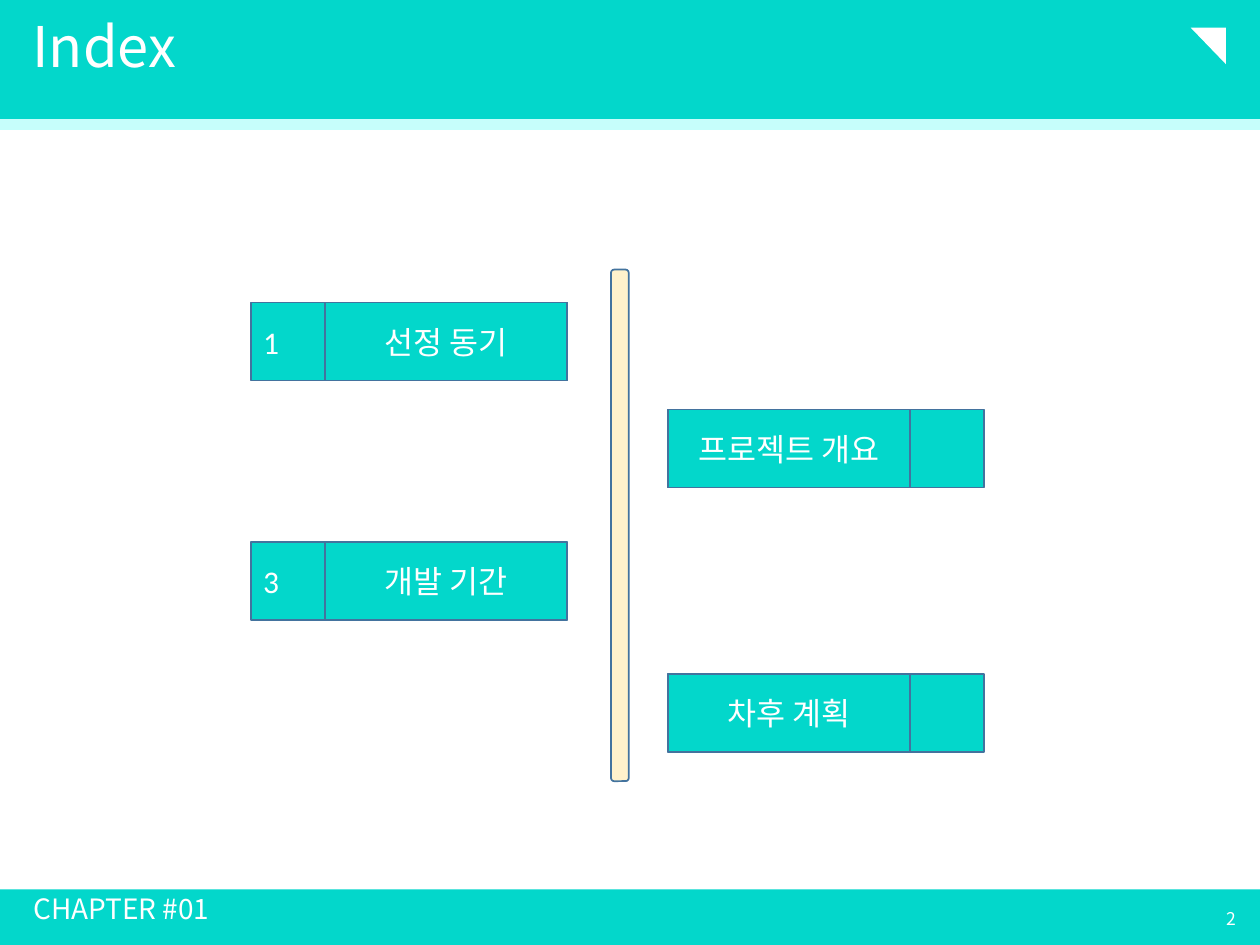
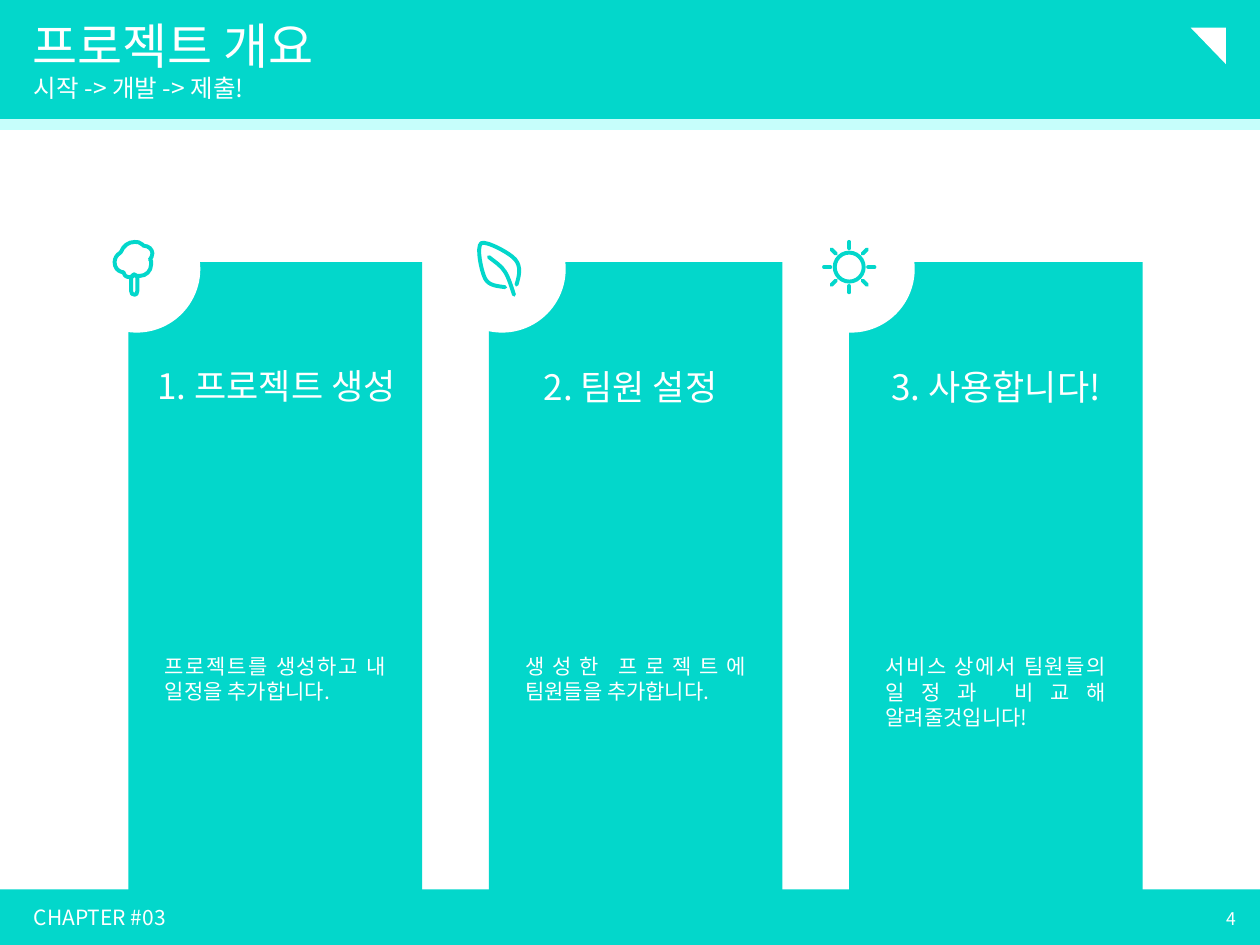
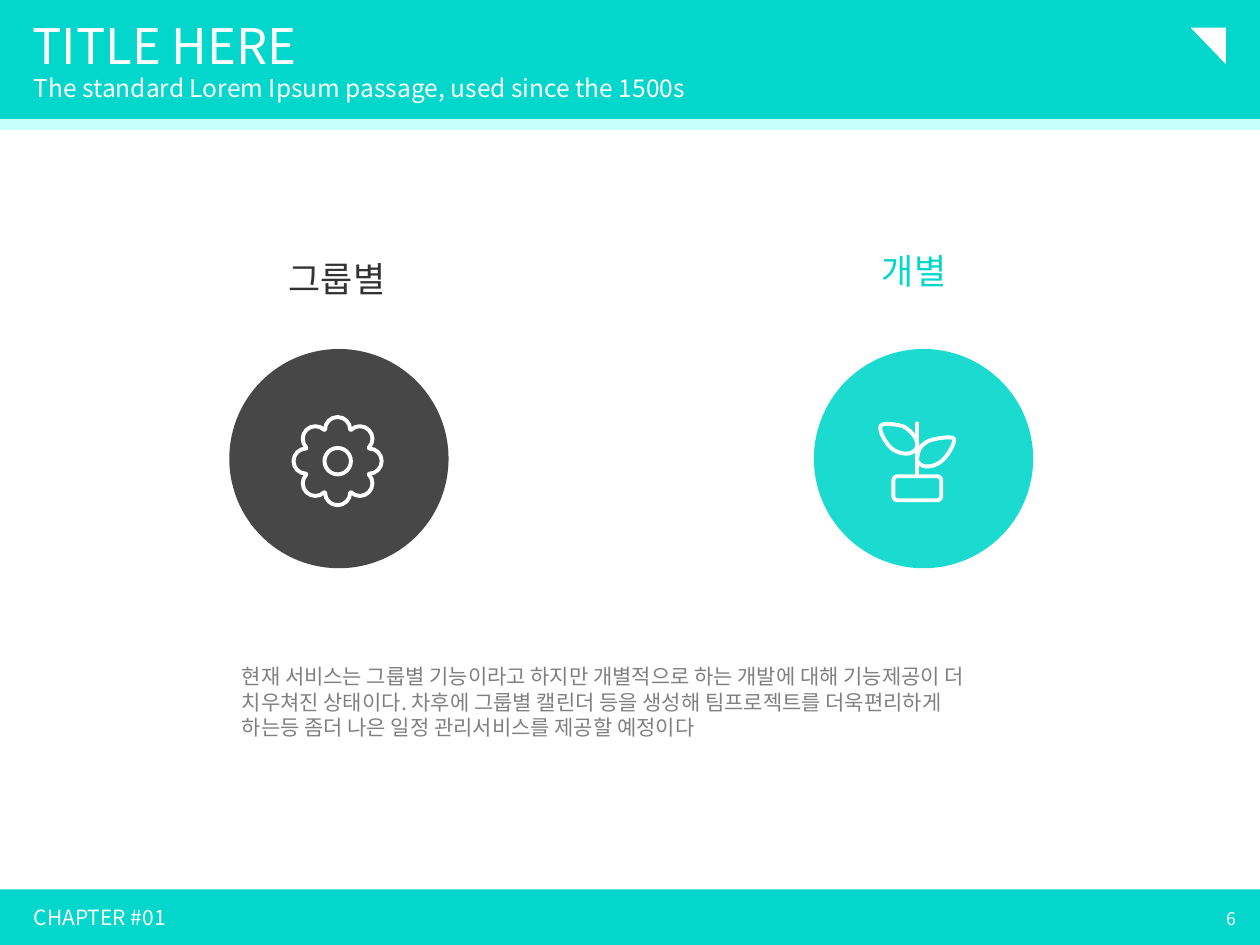
import math

from lxml import etree
from pptx import Presentation
from pptx.dml.color import RGBColor
from pptx.enum.shapes import MSO_CONNECTOR, MSO_SHAPE
from pptx.enum.text import MSO_ANCHOR, MSO_AUTO_SIZE, PP_ALIGN
from pptx.oxml.ns import qn
from pptx.util import Inches, Pt

RECTANGLE = MSO_SHAPE.RECTANGLE
ROUNDED = MSO_SHAPE.ROUNDED_RECTANGLE
OVAL = MSO_SHAPE.OVAL
TRIANGLE = MSO_SHAPE.ISOSCELES_TRIANGLE
STRAIGHT = MSO_CONNECTOR.STRAIGHT
LEFT, CENTER, RIGHT, JUSTIFY = PP_ALIGN.LEFT, PP_ALIGN.CENTER, PP_ALIGN.RIGHT, PP_ALIGN.JUSTIFY
TOP, MIDDLE = MSO_ANCHOR.TOP, MSO_ANCHOR.MIDDLE
GROW, FIXED = MSO_AUTO_SIZE.SHAPE_TO_FIT_TEXT, MSO_AUTO_SIZE.NONE

COLORS = {
    "teal": "03D7CB",
    "pale_teal": "C6FEFB",
    "white": "FFFFFF",
    "outline": "43739E",
    "cream": "FFF2CC",
    "dark": "333333",
    "gray": "808080",
}
KOREAN_FONT = "Noto Sans CJK KR"
LATIN_FONT = "Calibri"
ICON_LINE = 2.25

TREE_TRUNK = """M 1.07 2.18 L 1.08 2.19 L 1.09 2.19 L 1.09 2.31
C 1.09 2.33 1.08 2.34 1.07 2.34 C 1.05 2.34 1.04 2.33 1.04 2.31
L 1.04 2.2 C 1.05 2.2 1.06 2.19 1.06 2.18 Z"""
TREE_CROWN = """M 1.07 1.92 C 1.09 1.92 1.11 1.92 1.13 1.94 L 1.14 1.95
C 1.18 1.95 1.21 1.98 1.21 2.01 C 1.21 2.03 1.2 2.05 1.19 2.06 L 1.2 2.07
C 1.2 2.08 1.2 2.09 1.2 2.1 C 1.2 2.15 1.16 2.19 1.11 2.19
C 1.1 2.19 1.09 2.19 1.08 2.19 L 1.07 2.18 L 1.06 2.18
C 1.05 2.19 1.04 2.2 1.03 2.2 C 1 2.2 0.98 2.18 0.98 2.16 L 0.97 2.16
C 0.93 2.15 0.91 2.12 0.91 2.08 C 0.91 2.05 0.93 2.02 0.95 2.01 L 0.96 2
C 0.98 1.95 1.02 1.92 1.07 1.92 Z"""
LEAF_EDGE = """M 4.01 2.28 C 3.95 2.27 3.88 2.27 3.85 2.21
C 3.82 2.15 3.78 1.96 3.82 1.93 C 3.86 1.91 4.05 2.01 4.09 2.06
C 4.14 2.12 4.12 2.19 4.1 2.26"""
LEAF_VEIN = "M 3.88 2.04 C 3.93 2.08 3.98 2.11 4.01 2.16 C 4.04 2.21 4.06 2.28 4.08 2.34"
LEFT_SPROUT = """M 7.28 3.54 C 7.29 3.49 7.23 3.42 7.18 3.39
C 7.14 3.37 7 3.35 6.99 3.38 C 6.97 3.41 7.03 3.53 7.09 3.57
C 7.16 3.61 7.24 3.62 7.28 3.55"""
RIGHT_SPROUT = """M 7.28 3.64 C 7.28 3.59 7.3 3.54 7.35 3.51
C 7.4 3.48 7.55 3.46 7.57 3.48 C 7.59 3.51 7.51 3.64 7.46 3.67
C 7.42 3.7 7.32 3.73 7.28 3.66"""


def rgb(name):
    return RGBColor.from_string(COLORS[name])


def style_outline(shape, color, width):
    shape.line.color.rgb = rgb(color)
    shape.line.width = Pt(width)


def round_caps(shape):
    shape.element.spPr.find(qn("a:ln")).set("cap", "rnd")


def write_text(shape, text, size, color="white", align=LEFT, anchor=TOP,
               font=KOREAN_FONT, spacing=None):
    frame = shape.text_frame
    frame.word_wrap = True
    frame.vertical_anchor = anchor
    paragraph = frame.paragraphs[0]
    paragraph.text = text
    paragraph.alignment = align
    if spacing:
        paragraph.line_spacing = spacing
    paragraph.font.name = font
    paragraph.font.size = Pt(size)
    paragraph.font.color.rgb = rgb(color)
    for latin in shape.element.iter(qn("a:latin")):
        latin.addnext(etree.Element(qn("a:ea"), typeface=KOREAN_FONT))


def add_text(slide, box, text, size, grow=False, right_inset=0.1, **style):
    shape = slide.shapes.add_textbox(*map(Inches, box))
    write_text(shape, text, size, **style)
    shape.text_frame.margin_right = Inches(right_inset)
    shape.text_frame.auto_size = GROW if grow else FIXED


def add_block(shapes, kind, box, fill=None, outline=None, width=1, opacity=None):
    shape = shapes.add_shape(kind, *map(Inches, box))
    shape.shadow.inherit = False
    if fill:
        shape.fill.solid()
        shape.fill.fore_color.rgb = rgb(fill)
    else:
        shape.fill.background()
    if opacity:
        color = shape.element.spPr.find(qn("a:solidFill"))[0]
        etree.SubElement(color, qn("a:alpha"), val=str(opacity * 1000))
    if outline:
        style_outline(shape, outline, width)
    else:
        shape.line.fill.background()
    return shape


def add_line(shapes, start, end, color, width):
    line = shapes.add_connector(STRAIGHT, *map(Inches, start + end))
    style_outline(line, color, width)
    etree.SubElement(line.element.spPr, qn("a:effectLst"))
    return line


def read_commands(outline):
    tokens = iter(outline.split())
    commands = []
    for letter in tokens:
        count = {"C": 3, "Z": 0}.get(letter, 1)
        points = [(float(next(tokens)), float(next(tokens))) for _ in range(count)]
        commands.append((letter, points))
    return commands


def bend_segments(shape, commands):
    segments = iter(list(shape.element.iter(qn("a:lnTo"))))
    for letter, points in commands:
        if letter == "L":
            next(segments)
        elif letter == "C":
            triple = [next(segments) for _ in points]
            curve = etree.Element(qn("a:cubicBezTo"))
            triple[0].addprevious(curve)
            for segment in triple:
                curve.append(segment[0])
                segment.getparent().remove(segment)


def add_outline(shapes, commands, color):
    points = [tuple(map(Inches, point)) for _, group in commands for point in group]
    builder = shapes.build_freeform(*points[0])
    builder.add_line_segments(points[1:], close=commands[-1][0] == "Z")
    shape = builder.convert_to_shape()
    bend_segments(shape, commands)
    shape.shadow.inherit = False
    shape.fill.background()
    style_outline(shape, color, ICON_LINE)
    round_caps(shape)


def polar(center, radius, degrees):
    angle = math.radians(degrees)
    return center[0] + radius * math.cos(angle), center[1] + radius * math.sin(angle)


def quarter_arc(center, radius, degrees):
    handle = 0.5523 * radius
    start = polar(center, radius, degrees)
    end = polar(center, radius, degrees + 90)
    return "C", [polar(start, handle, degrees + 90), polar(end, handle, degrees), end]


def add_ring(shapes, center, radius, color):
    box = (center[0] - radius, center[1] - radius, 2 * radius, 2 * radius)
    add_block(shapes, OVAL, box, outline=color, width=ICON_LINE)


def add_tree(shapes):
    for part in (TREE_TRUNK, TREE_CROWN):
        add_outline(shapes, read_commands(part), "teal")


def add_leaf(shapes):
    for part in (LEAF_EDGE, LEAF_VEIN):
        add_outline(shapes, read_commands(part), "teal")


def add_sun(shapes):
    center = (6.74, 2.12)
    add_ring(shapes, center, 0.115, "teal")
    for degrees in range(0, 360, 45):
        ray = add_line(shapes, polar(center, 0.15, degrees), polar(center, 0.2, degrees),
                       "teal", ICON_LINE)
        round_caps(ray)


def add_flower(shapes):
    center = (2.68, 3.66)
    commands = []
    for degrees in range(0, 360, 45):
        petal = polar(center, 0.25, degrees)
        commands.append(("L" if commands else "M", [polar(petal, 0.1, degrees - 90)]))
        commands += [quarter_arc(petal, 0.1, degrees - 90), quarter_arc(petal, 0.1, degrees)]
    commands.append(("Z", []))
    add_outline(shapes, commands, "white")
    add_ring(shapes, center, 0.105, "white")


def add_sprout(shapes):
    for part in (LEFT_SPROUT, RIGHT_SPROUT):
        add_outline(shapes, read_commands(part), "white")
    round_caps(add_line(shapes, (7.28, 3.36), (7.28, 3.78), "white", ICON_LINE))
    add_block(shapes, ROUNDED, (7.09, 3.78, 0.38, 0.19), outline="white", width=ICON_LINE)


def add_framed_slide(presentation, title, chapter, number, subtitle=None):
    slide = presentation.slides.add_slide(presentation.slide_layouts[6])
    add_block(slide.shapes, RECTANGLE, (-0.01, 7.06, 10.01, 0.44), "teal")
    add_block(slide.shapes, RECTANGLE, (0, 0, 10, 1.02), "teal")
    corner = add_block(slide.shapes, TRIANGLE, (9.45, 0.22, 0.28, 0.29), "white")
    corner.adjustments[0] = 0
    corner.rotation = 180
    add_line(slide.shapes, (-0.02, 0.99), (10, 0.99), "pale_teal", 6)
    if subtitle:
        add_text(slide, (0.16, 0.13, 8.62, 0.41), title, 28, spacing=0.9)
        add_text(slide, (0.17, 0.56, 8.79, 0.31), subtitle, 14, spacing=0.9)
        add_text(slide, (0.17, 7.15, 3.59, 0.25), chapter, 12, spacing=0.9)
    else:
        add_text(slide, (0.16, 0.1, 8.62, 0.83), title, 32, spacing=0.9)
        add_text(slide, (0.17, 7.06, 3.59, 0.43), chapter, 16, spacing=0.9)
    add_text(slide, (7.66, 7.09, 2.25, 0.4), number, 10, align=RIGHT, anchor=MIDDLE)
    return slide


def add_index_entry(shapes, left, top, label_offset, label, number=None):
    entry = add_block(shapes, RECTANGLE, (left, top, 2.51, 0.62), "teal", "outline")
    if number:
        write_text(entry, number, 18, anchor=MIDDLE, font=LATIN_FONT)
    cover = add_block(shapes, RECTANGLE, (left + label_offset, top, 1.92, 0.62), "teal", "outline")
    write_text(cover, label, 18, align=CENTER, anchor=MIDDLE, font=LATIN_FONT)


def build_index(presentation):
    slide = add_framed_slide(presentation, "Index", "CHAPTER #01", "2")
    add_block(slide.shapes, ROUNDED, (4.85, 2.14, 0.14, 4.06), "cream", "outline")
    for top, label, number in ((2.4, "선정 동기", "1"), (4.3, "개발 기간", "3")):
        group = slide.shapes.add_group_shape()
        add_index_entry(group.shapes, 1.99, top, 0.59, label, number)
    for top, label in ((3.25, "프로젝트 개요"), (5.35, "차후 계획")):
        add_index_entry(slide.shapes, 5.3, top, 0, label)


def build_overview(presentation):
    slide = add_framed_slide(presentation, "프로젝트 개요", "CHAPTER #03", "4",
                             "시작 -> 개발 -> 제출!")
    steps = [
        ("1. 프로젝트 생성", (1.06, 2.84, 2.27, 0.44),
         "프로젝트를 생성하고 내 일정을 추가합니다.", 0.5, 0.58, add_tree),
        ("2. 팀원 설정", (3.86, 2.85, 2.29, 0.44),
         "생성한 프로젝트에 팀원들을 추가합니다.", 0.5, 3.48, add_leaf),
        ("3. 사용합니다!", (6.74, 2.85, 2.33, 0.44),
         "서비스 상에서 팀원들의 일정과 비교해 알려줄것입니다!", 0.71, 6.25, add_sun),
    ]
    for index, (heading, heading_box, body, body_height, badge_left, add_icon) in enumerate(steps):
        left = 1.02 + 2.86 * index
        add_block(slide.shapes, RECTANGLE, (left, 2.08, 2.33, 5.04), "teal")
        icon = slide.shapes.add_group_shape().shapes
        badge = add_block(icon, ROUNDED, (badge_left, 1.63, 1.01, 1.01), "white")
        badge.adjustments[0] = 0.5
        add_icon(icon)
        add_text(slide, (left + 0.19, 5.14, 1.95, body_height), body, 12, grow=True, align=JUSTIFY)
        add_text(slide, heading_box, heading, 20, grow=True, align=CENTER)


def build_comparison(presentation):
    slide = add_framed_slide(presentation, "TITLE HERE", "CHAPTER #01", "6",
                             "The standard Lorem Ipsum passage, used since the 1500s")
    sides = [
        ("그룹별", (1.88, 1.98), 1.82, "dark", add_flower),
        ("개별", (6.46, 1.92), 6.46, "teal", add_sprout),
    ]
    for label, label_corner, circle_left, color, add_icon in sides:
        add_text(slide, label_corner + (1.59, 0.43), label, 20, grow=True, color=color,
                 align=CENTER, spacing=Pt(25))
        add_block(slide.shapes, OVAL, (circle_left, 2.77, 1.74, 1.74), color, opacity=90)
        add_icon(slide.shapes.add_group_shape().shapes)
    add_text(slide, (1.82, 5.22, 6.35, 0.71),
             "현재 서비스는 그룹별 기능이라고 하지만 개별적으로 하는 개발에 대해 기능제공이 더 "
             "치우쳐진 상태이다. 차후에 그룹별 캘린더 등을 생성해 팀프로젝트를 더욱편리하게 "
             "하는등 좀더 나은 일정 관리서비스를 제공할 예정이다",
             12, grow=True, color="gray", right_inset=0.35)


def main():
    presentation = Presentation()
    presentation.slide_width = Inches(10)
    presentation.slide_height = Inches(7.5)
    build_index(presentation)
    build_overview(presentation)
    build_comparison(presentation)
    presentation.save("out.pptx")


main()
